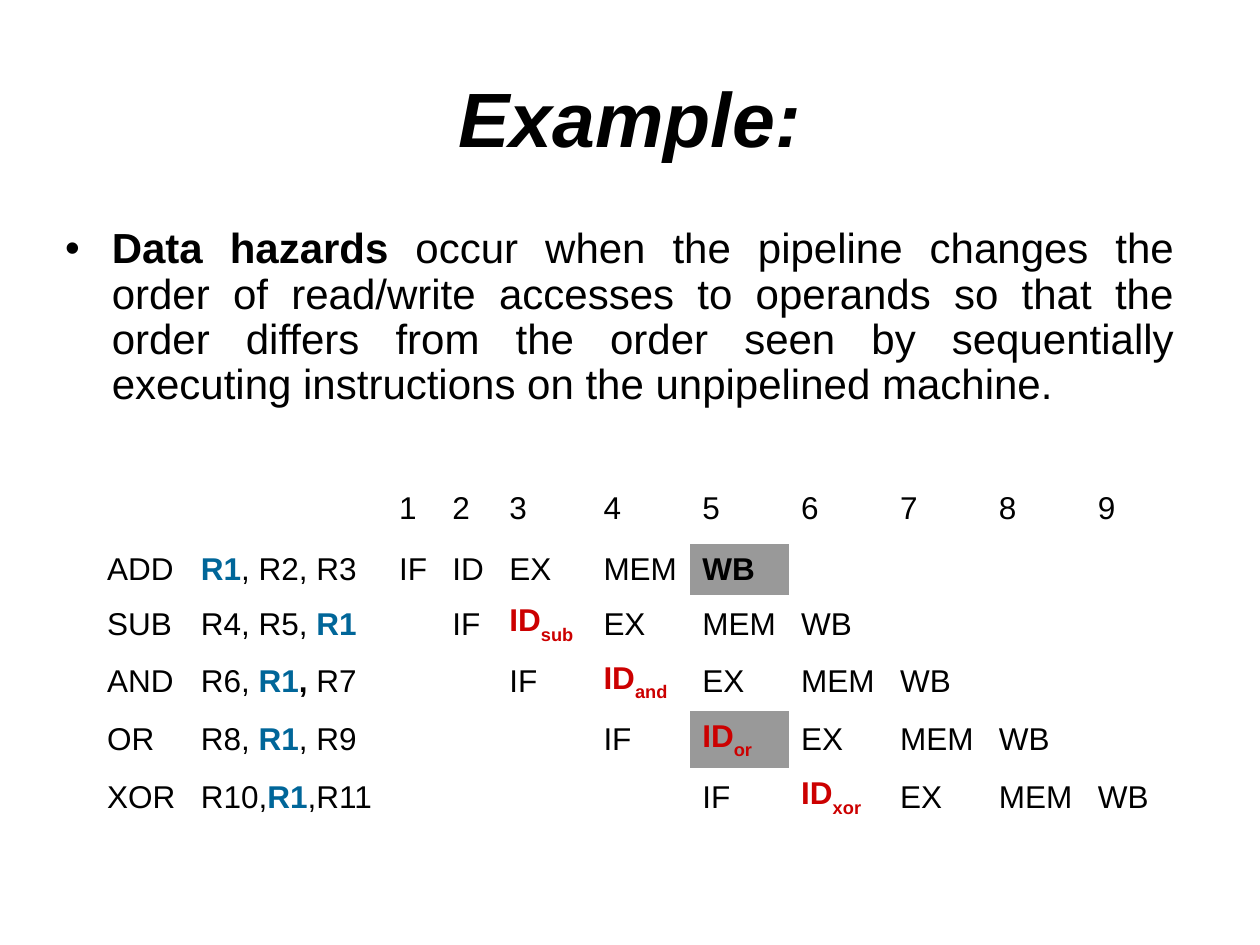
"""Build a slide on data hazards with a table of pipeline stages."""
import typing

import pptx
import pptx.dml.color
import pptx.enum.text
import pptx.oxml.ns
import pptx.util
from lxml import etree

WIDE, HIGH = pptx.util.Inches(10), pptx.util.Inches(7.5)
BLACK = pptx.dml.color.RGBColor(0x00, 0x00, 0x00)
BLUE = pptx.dml.color.RGBColor(0x00, 0x66, 0x99)
RED = pptx.dml.color.RGBColor(0xCC, 0x00, 0x00)
GREY = pptx.dml.color.RGBColor(0x99, 0x99, 0x99)
PLAIN_STYLE = "{2D5ABB26-0587-4C30-8999-92F81FD0307C}"
COLS = (7.44, 15.75, 4.22, 4.53, 7.47) + (7.85,) * 5 + (6.2,)
ROWS = (7.6, 5.4) + (6.1,) * 4
FIRST = 2
SHADED = {(1, 6), (4, 6)}


class Run(typing.NamedTuple):
    """A stretch of text in one format."""
    text: str
    color: pptx.dml.color.RGBColor = BLACK
    bold: bool = False
    sub: bool = False


class Step(typing.NamedTuple):
    """An instruction with its operands and its decode label."""
    name: str
    args: tuple
    label: str = ""


R1 = Run("R1", BLUE, True)
STEPS = (
    Step("ADD", (R1, Run(", R2, R3"))),
    Step("SUB", (Run("R4, R5, "), R1), "sub"),
    Step("AND", (Run("R6, "), R1, Run(",", bold=True), Run(" R7")), "and"),
    Step("OR", (Run("R8, "), R1, Run(", R9")), "or"),
    Step("XOR", (Run("R10,"), R1, Run(",R11")), "xor"),
)


def across(share: float) -> int:
    """Turn a percentage of the slide's width into a length."""
    return round(share * WIDE / 100)


def down(share: float) -> int:
    """Turn a percentage of the slide's height into a length."""
    return round(share * HIGH / 100)


def write(frame, *runs: Run, size: float = 18, italic: bool = False, align=None):
    """Fill the first paragraph of a text frame and return it."""
    para = frame.paragraphs[0]
    para.alignment = align
    for item in runs:
        run = para.add_run()
        run.text = item.text
        font = run.font
        font.name, font.size = "Arial", pptx.util.Pt(size)
        font.bold, font.italic = item.bold, italic
        font.color.rgb = item.color
        if item.sub:
            run._r.get_or_add_rPr().set("baseline", "-30000")
    return para


def place(shape, left: float, top: float, wide: float, high: float) -> None:
    """Set a shape's box in percentages of the slide."""
    shape.left, shape.top = across(left), down(top)
    shape.width, shape.height = across(wide), down(high)


def add_bullet(para, indent: float) -> None:
    """Give a paragraph a black bullet with a hanging indent."""
    props = para._p.get_or_add_pPr()
    room = pptx.util.Inches(indent)
    props.set("marL", str(room))
    props.set("indent", str(-room))
    name = pptx.oxml.ns.qn
    color = etree.SubElement(props, name("a:buClr"))
    etree.SubElement(color, name("a:srgbClr"), val=str(BLACK))
    etree.SubElement(props, name("a:buFont"), typeface="Arial")
    etree.SubElement(props, name("a:buChar"), char="•")


def list_cells() -> dict:
    """Map each filled row and column to its runs."""
    cells = {(0, FIRST + i): (Run(str(i + 1)),) for i in range(9)}
    for row, step in enumerate(STEPS, 1):
        cells[row, 0] = (Run(step.name),)
        cells[row, 1] = step.args
        decode = (Run("ID"),)
        if step.label:
            decode = (Run("ID", RED, True), Run(step.label, RED, True, True))
        last = Run("WB", bold=row == 1)
        stages = ((Run("IF"),), decode, (Run("EX"),), (Run("MEM"),), (last,))
        for col, stage in enumerate(stages, FIRST + row - 1):
            cells[row, col] = stage
    return cells


def draw_table(slide) -> None:
    """Draw the pipeline stages by clock cycle."""
    shape = slide.shapes.add_table(
        len(ROWS), len(COLS), across(7.5), down(50),
        across(sum(COLS)), down(sum(ROWS)))
    table = shape.table
    table.first_row = table.horz_banding = False
    style = table._tbl.tblPr.find(pptx.oxml.ns.qn("a:tableStyleId"))
    style.text = PLAIN_STYLE
    for col, share in zip(table.columns, COLS):
        col.width = across(share)
    for row, share in zip(table.rows, ROWS):
        row.height = down(share)
    texts = list_cells()
    for row in range(len(ROWS)):
        for col in range(len(COLS)):
            cell = table.cell(row, col)
            cell.vertical_anchor = pptx.enum.text.MSO_ANCHOR.MIDDLE
            cell.margin_right = pptx.util.Inches(0.05)
            if (row, col) in SHADED:
                cell.fill.solid()
                cell.fill.fore_color.rgb = GREY
            else:
                cell.fill.background()
            write(cell.text_frame, *texts.get((row, col), ()))


def main() -> None:
    """Build and save the slide."""
    deck = pptx.Presentation()
    deck.slide_width, deck.slide_height = WIDE, HIGH
    slide = deck.slides.add_slide(deck.slide_layouts[1])
    title, body = slide.placeholders
    place(title, 5, 4, 90, 16.67)
    place(body, 4.17, 23.4, 90, 23.33)
    for shape in (title, body):
        shape.text_frame.auto_size = pptx.enum.text.MSO_AUTO_SIZE.NONE
    align = pptx.enum.text.PP_ALIGN
    write(title.text_frame, Run("Example:", bold=True), size=44, italic=True,
          align=align.CENTER)
    para = write(
        body.text_frame, Run("Data hazards", bold=True),
        Run(" occur when the pipeline changes the order of read/write accesses"
            " to operands so that the order differs from the order seen by"
            " sequentially executing instructions on the unpipelined machine."),
        size=24, align=align.JUSTIFY)
    add_bullet(para, 0.37)
    para.line_spacing = 0.9
    para.space_before = pptx.util.Pt(0)
    draw_table(slide)
    deck.save("out.pptx")


if __name__ == "__main__":
    main()
